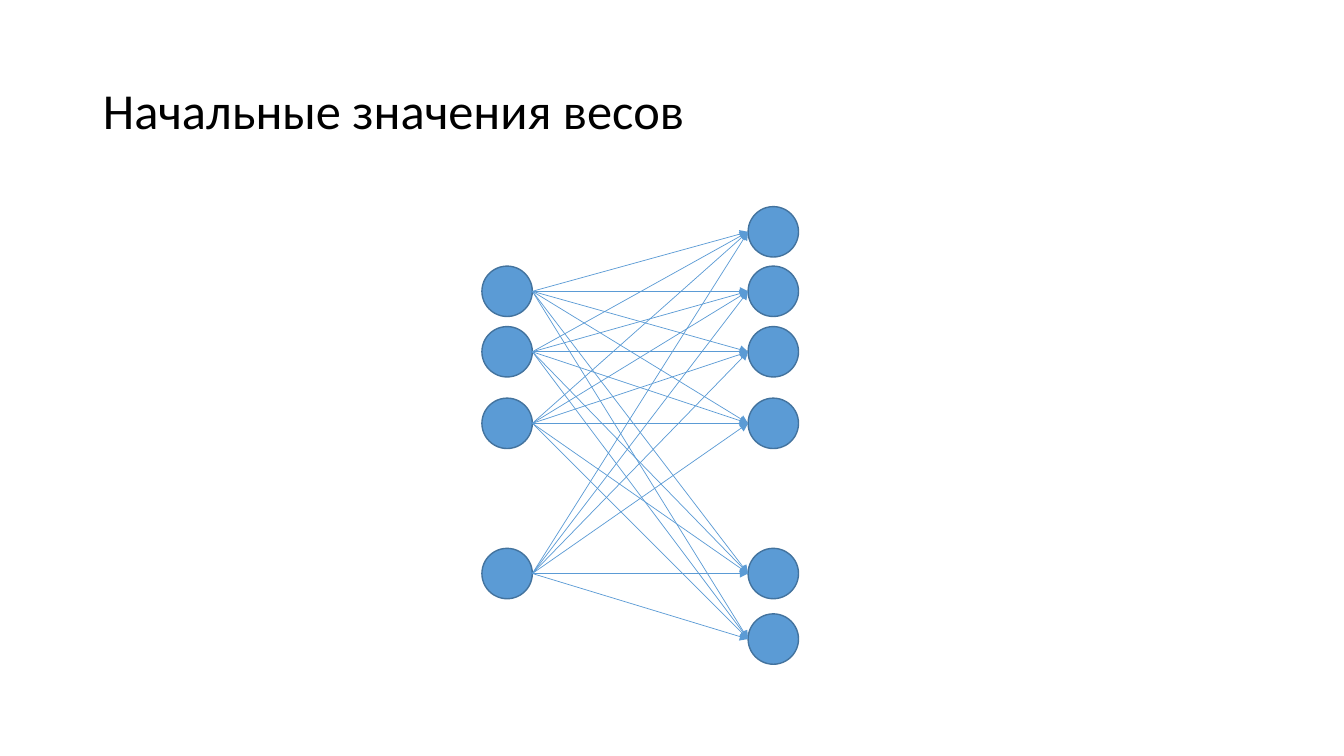
from itertools import product

from lxml.etree import SubElement
from pptx import Presentation
from pptx.dml.color import RGBColor
from pptx.enum.shapes import MSO_CONNECTOR as Connector, MSO_SHAPE as Shape
from pptx.enum.text import MSO_ANCHOR as Anchor, MSO_AUTO_SIZE as AutoSize, PP_ALIGN as Align
from pptx.oxml.ns import qn
from pptx.util import Inches, Pt

NODE_SIZE = 0.5
INPUT_ROWS = [0.59, 1.19, 1.9, 3.39]
OUTPUT_ROWS = [0, *INPUT_ROWS, 4.04]


def color(hex_code):
    """Turn a hex string into a colour."""
    return RGBColor.from_string(hex_code)


def add_title(page, box, text):
    """Place the title placeholder in the box and write its text."""
    title = page.shapes.title
    title.left, title.top, title.width, title.height = map(Inches, box)
    frame = title.text_frame
    frame.word_wrap = True
    frame.auto_size = AutoSize.NONE
    frame.vertical_anchor = Anchor.MIDDLE
    para = frame.paragraphs[0]
    para.alignment = Align.LEFT
    para.line_spacing = 0.9
    span = para.add_run()
    span.text = text
    span.font.name = "Calibri"
    span.font.size = Pt(36)
    span.font.color.rgb = color("000000")


def add_neuron(page, left, top):
    """Draw one neuron as a circle."""
    neuron = page.shapes.add_shape(Shape.OVAL, *map(Inches, (left, top, NODE_SIZE, NODE_SIZE)))
    neuron.shadow.inherit = False
    neuron.fill.solid()
    neuron.fill.fore_color.rgb = color("5B9BD5")
    neuron.line.color.rgb = color("43739E")
    neuron.line.width = Pt(1)


def add_weight(page, start, end):
    """Draw one weight as a thin arrow between two points."""
    weight = page.shapes.add_connector(Connector.STRAIGHT, *map(Inches, (*start, *end)))
    weight.line.color.rgb = color("5B9BD5")
    weight.line.width = Pt(0.5)
    SubElement(weight.line._get_or_add_ln(), qn("a:tailEnd"), type="triangle")
    SubElement(weight._element.spPr, qn("a:effectLst"))


def add_network(page, box):
    """Draw two fully connected layers at the sides of the box."""
    left, top, width, _ = box
    output_left = left + width - NODE_SIZE
    for column, rows in ((left, INPUT_ROWS), (output_left, OUTPUT_ROWS)):
        for row in rows:
            add_neuron(page, column, top + row)
    middle = top + NODE_SIZE / 2
    for source, target in product(INPUT_ROWS, OUTPUT_ROWS):
        add_weight(page, (left + NODE_SIZE, middle + source), (output_left, middle + target))


def main():
    """Build the slide and save the deck."""
    deck = Presentation()
    deck.slide_width, deck.slide_height = Inches(13.33), Inches(7.5)
    page = deck.slides.add_slide(deck.slide_layouts[5])
    add_title(page, (0.92, 0.4, 11.5, 1.45), "Начальные значения весов")
    add_network(page, (4.78, 2.05, 3.14, 4.54))
    deck.save("out.pptx")


if __name__ == "__main__":
    main()
